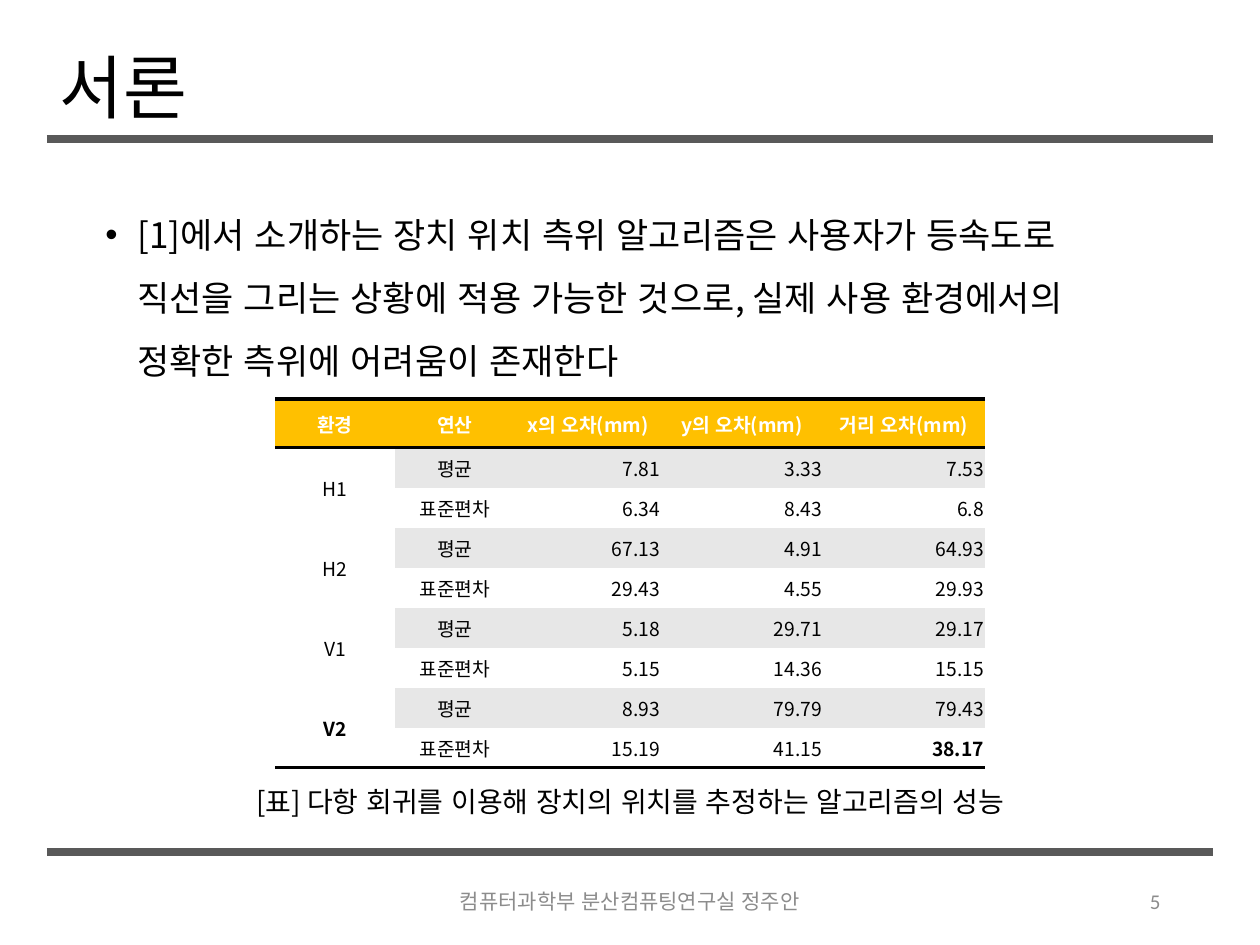
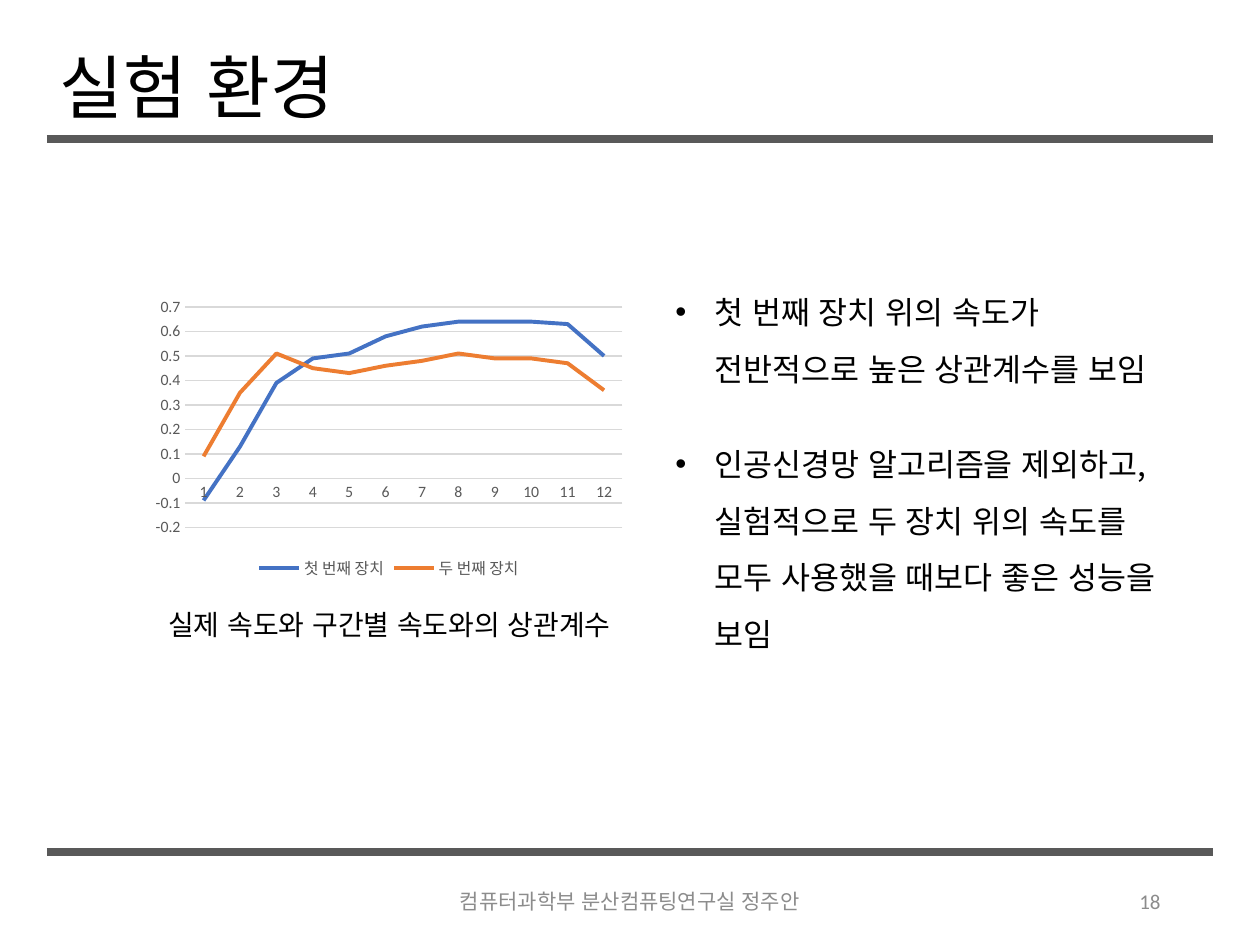
"""Build two slides on positioning error and speed correlation."""
from lxml import etree
from pptx import Presentation
from pptx.chart.data import CategoryChartData
from pptx.dml.color import RGBColor
from pptx.enum.chart import XL_CHART_TYPE, XL_LEGEND_POSITION, XL_TICK_MARK
from pptx.enum.lang import MSO_LANGUAGE_ID
from pptx.enum.shapes import MSO_CONNECTOR
from pptx.enum.text import MSO_ANCHOR, MSO_AUTO_SIZE, PP_ALIGN
from pptx.oxml.ns import qn
from pptx.util import Pt

LEFT, CENTER, RIGHT = PP_ALIGN.LEFT, PP_ALIGN.CENTER, PP_ALIGN.RIGHT
TOP, MIDDLE = MSO_ANCHOR.TOP, MSO_ANCHOR.MIDDLE
NO_FIT, KOREAN = MSO_AUTO_SIZE.NONE, MSO_LANGUAGE_ID.KOREAN
STRAIGHT, LINE = MSO_CONNECTOR.STRAIGHT, XL_CHART_TYPE.LINE
BOTTOM, NO_TICK = XL_LEGEND_POSITION.BOTTOM, XL_TICK_MARK.NONE

PX = 914400 / 126
KR, LATIN = "Noto Sans CJK KR", "Calibri"
NO_STYLE = "{2D5ABB26-0587-4C30-8999-92F81FD0307C}"
HEX = {"text": "000000", "rule": "595959", "muted": "8C8C8C", "white": "FFFFFF",
       "head": "FFC000", "band": "E7E7E7", "grid": "D9D9D9",
       "first": "4472C4", "second": "ED7D31"}
C = {name: RGBColor.from_string(value) for name, value in HEX.items()}
FOOTER = "컴퓨터과학부 분산컴퓨팅연구실 정주안"


def write(tf, texts, size, color="text", font=KR, bold=False, bullet=0, **para):
    for i, text in enumerate(texts):
        p = tf.paragraphs[0] if i == 0 else tf.add_paragraph()
        for key, value in para.items():
            setattr(p, key, value)
        r = p.add_run()
        r.text = text
        look = {"name": font, "size": Pt(size), "bold": bold, "language_id": KOREAN}
        for key, value in look.items():
            setattr(r.font, key, value)
        r.font.color.rgb = C[color]
        if font == KR:
            etree.SubElement(r.font._element, qn("a:ea"), typeface=KR)
        if bullet:
            pPr = p._p.get_or_add_pPr()
            pPr.set("marL", str(int(bullet * PX)))
            pPr.set("indent", str(int(-bullet * PX)))
            etree.SubElement(pPr, qn("a:buFont"), typeface="Arial")
            etree.SubElement(pPr, qn("a:buChar"), char="•")


def add_text(s, box, texts, size, anchor=TOP, **fmt):
    tf = s.shapes.add_textbox(*[int(v * PX) for v in box]).text_frame
    for key, value in {"word_wrap": True, "vertical_anchor": anchor}.items():
        setattr(tf, key, value)
    write(tf, texts, size, **fmt)


prs = Presentation()
prs.slide_width, prs.slide_height = int(1260 * PX), int(945 * PX)

slides = []
for title, number in [("서론", "5"), ("실험 환경", "18")]:
    s = prs.slides.add_slide(prs.slide_layouts[5])
    slides.append(s)
    for y in (139, 852):
        rule = s.shapes.add_connector(STRAIGHT, *[int(v * PX) for v in (47, y, 1213, y)])
        rule.line.color.rgb = C["rule"]
        rule.line.width = Pt(4.5)
        etree.SubElement(rule._element.spPr, qn("a:effectLst"))
    sp = s.shapes.title
    for key, value in {"left": 47, "top": 54, "width": 1166, "height": 74}.items():
        setattr(sp, key, int(value * PX))
    tf = sp.text_frame
    for key, value in {"auto_size": NO_FIT, "vertical_anchor": MIDDLE, "word_wrap": True}.items():
        setattr(tf, key, value)
    write(tf, [title], 39.6, alignment=LEFT, line_spacing=0.9)
    for box, text, align in [((417, 876, 426, 50), FOOTER, CENTER),
                             ((889, 876, 284, 50), number, RIGHT)]:
        add_text(s, box, [text], 12, MIDDLE, color="muted", font=LATIN, alignment=align)

intro, experiment = slides

add_text(intro, (93, 186, 1075, 198),
         ["[1]에서 소개하는 장치 위치 측위 알고리즘은 사용자가 등속도로 직선을 그리는 상황에 "
          "적용 가능한 것으로, 실제 사용 환경에서의 정확한 측위에 어려움이 존재한다"],
         20, bullet=32, line_spacing=1.5, space_before=Pt(10))
add_text(intro, (93, 762, 1075, 59),
         ["[표] 다항 회귀를 이용해 장치의 위치를 추정하는 알고리즘의 성능"],
         16, alignment=CENTER, line_spacing=1.5, space_before=Pt(10))

errors = {
    "H1": [("7.81", "3.33", "7.53"), ("6.34", "8.43", "6.8")],
    "H2": [("67.13", "4.91", "64.93"), ("29.43", "4.55", "29.93")],
    "V1": [("5.18", "29.71", "29.17"), ("5.15", "14.36", "15.15")],
    "V2": [("8.93", "79.79", "79.43"), ("15.19", "41.15", "38.17")],
}
rows = [("환경", "연산", "x의 오차(mm)", "y의 오차(mm)", "거리 오차(mm)")]
for place, (mean, deviation) in errors.items():
    rows += [(place, "평균", *mean), ("", "표준편차", *deviation)]

widths = [120, 120, 146, 162, 162]
heights = [49] + [40] * 8
frame = intro.shapes.add_table(len(rows), len(widths), int(275 * PX), int(399 * PX),
                               int(sum(widths) * PX), int(sum(heights) * PX))
table = frame.table
table.first_row = table.horz_banding = False
table._tbl.tblPr.find(qn("a:tableStyleId")).text = NO_STYLE
for col, width in zip(table.columns, widths):
    col.width = int(width * PX)
for row, height in zip(table.rows, heights):
    row.height = int(height * PX)
for top in range(1, len(rows), 2):
    table.cell(top, 0).merge(table.cell(top + 1, 0))

for i, row in enumerate(rows):
    for j, text in enumerate(row):
        cell = table.cell(i, j)
        layout = {"margin_left": int(PX), "margin_right": int(PX), "margin_top": int(PX),
                  "margin_bottom": 0, "vertical_anchor": MIDDLE}
        for key, value in layout.items():
            setattr(cell, key, value)
        fill = "head" if i == 0 else "band" if i % 2 and j else "white"
        cell.fill.solid()
        cell.fill.fore_color.rgb = C[fill]
        if text:
            write(cell.text_frame, [text], 11, "white" if i == 0 else "text",
                  bold=i == 0 or text in ("V2", "38.17"),
                  alignment=RIGHT if i and j > 1 else CENTER)
        last = i == len(rows) - 1 or (j == 0 and i == len(rows) - 2)
        sides = ["lnB", "lnT"] if i == 0 else ["lnB"] if last else []
        for side in sides:
            ln = etree.Element(qn("a:" + side), w=str(Pt(2)))
            solid = etree.SubElement(ln, qn("a:solidFill"))
            etree.SubElement(solid, qn("a:srgbClr"), val=HEX["text"])
            cell._tc.get_or_add_tcPr().insert(0, ln)

data = CategoryChartData()
data.categories = [str(n) for n in range(1, 13)]
data.add_series("첫 번째 장치", [-0.09, 0.13, 0.39, 0.49, 0.51, 0.58,
                            0.62, 0.64, 0.64, 0.64, 0.63, 0.5])
data.add_series("두 번째 장치", [0.09, 0.35, 0.51, 0.45, 0.43, 0.46,
                            0.48, 0.51, 0.49, 0.49, 0.47, 0.36])
box = [int(v * PX) for v in (146, 292, 486, 292)]
chart = experiment.shapes.add_chart(LINE, *box, data).chart
chart.has_title = False
chart.has_legend = True
chart.legend.position = BOTTOM
chart.legend.include_in_layout = False
chart.plots[0].vary_by_categories = False
cat, val = chart.category_axis, chart.value_axis
for font in (chart.font, chart.legend.font, cat.tick_labels.font, val.tick_labels.font):
    font.name, font.size = LATIN, Pt(9)
    font.color.rgb = C["rule"]
for axis in (cat, val):
    axis.major_tick_mark = axis.minor_tick_mark = NO_TICK
val.has_major_gridlines = True
val.minimum_scale, val.maximum_scale, val.major_unit = -0.2, 0.7, 0.1
val.format.line.fill.background()
for line in (cat.format.line, val.major_gridlines.format.line):
    line.color.rgb = C["grid"]
    line.width = Pt(0.75)
for series, color in zip(chart.plots[0].series, ("first", "second")):
    series.smooth = False
    series.format.line.color.rgb = C[color]
    series.format.line.width = Pt(2.25)

add_text(experiment, (91, 585, 597, 82), ["실제 속도와 구간별 속도와의 상관계수"],
         16, alignment=CENTER, line_spacing=1.5, space_before=Pt(10))
add_text(experiment, (663, 268, 523, 408),
         ["첫 번째 장치 위의 속도가 전반적으로 높은 상관계수를 보임",
          "인공신경망 알고리즘을 제외하고, 실험적으로 두 장치 위의 속도를 모두 사용했을 때보다 "
          "좋은 성능을 보임"],
         18, bullet=39, line_spacing=1.5, space_after=Pt(22))

prs.save("out.pptx")
